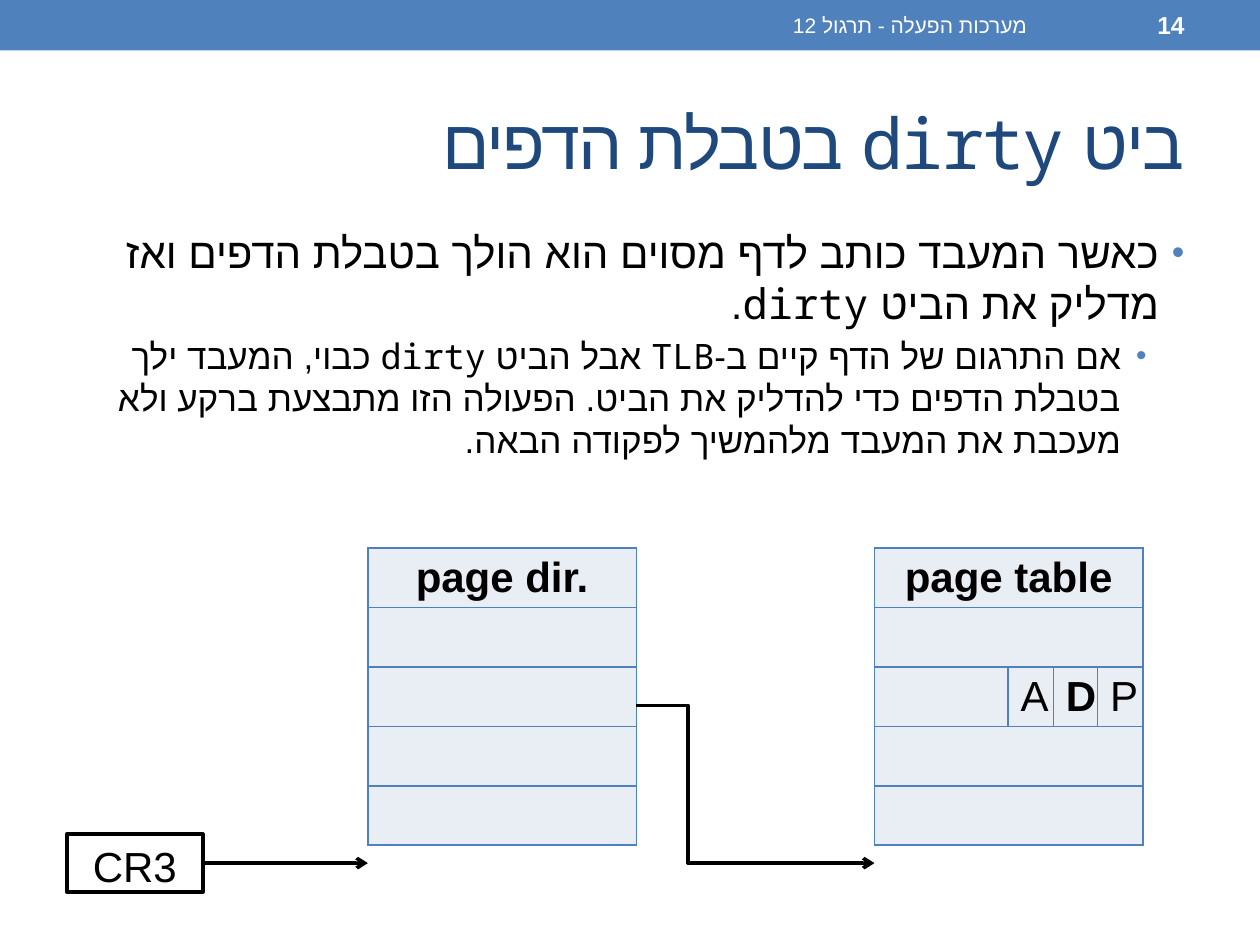
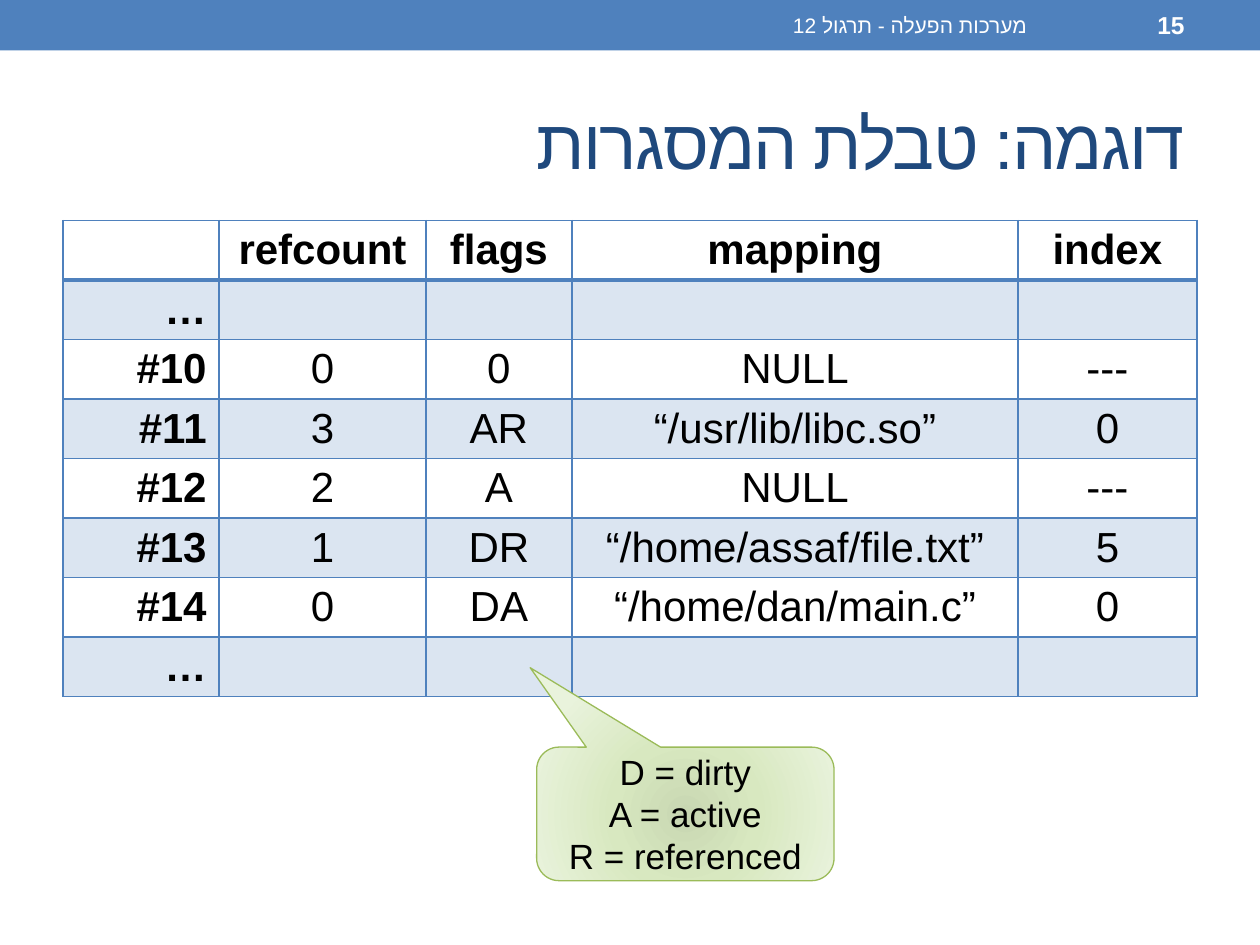
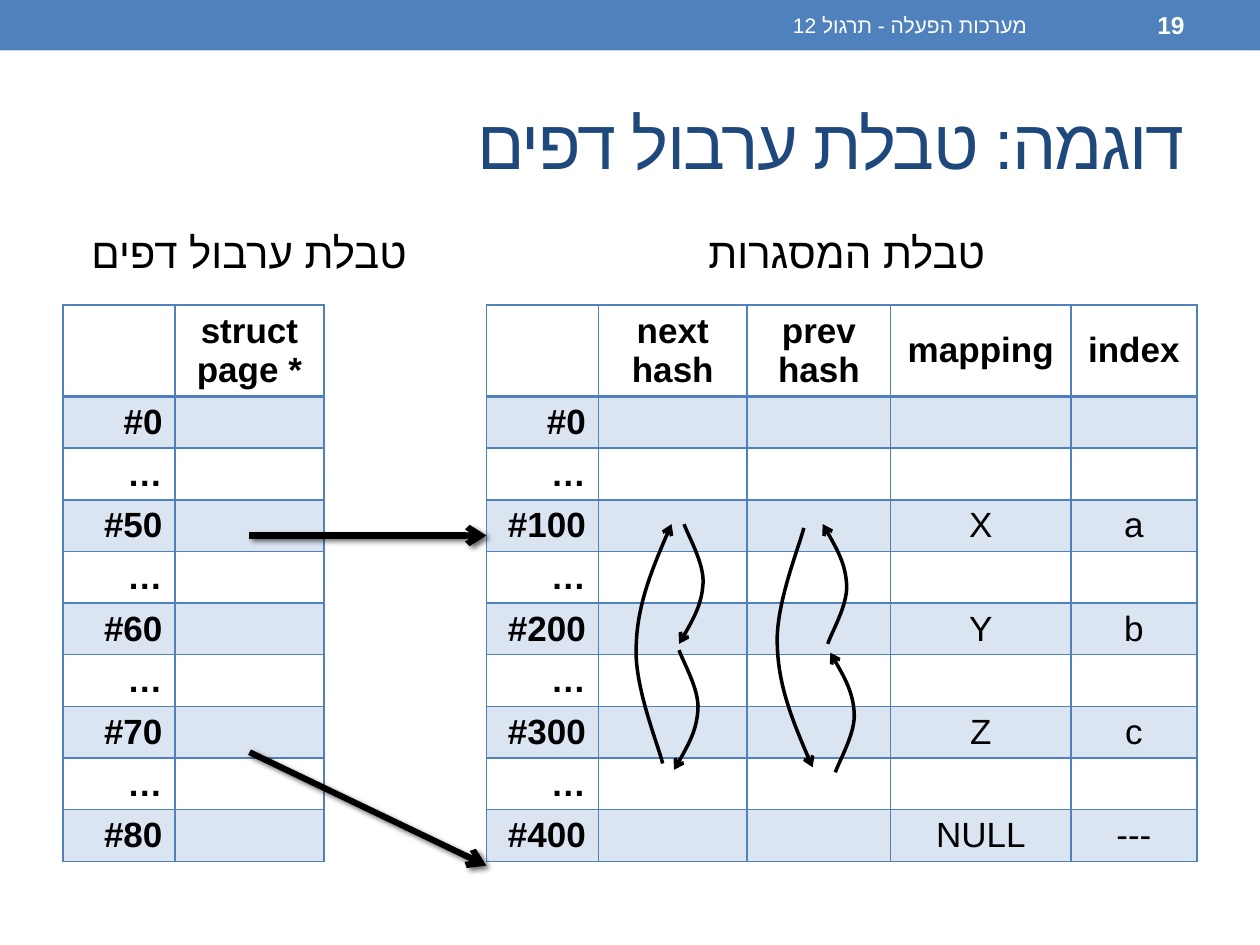
from lxml import etree
from pptx import Presentation
from pptx.dml.color import RGBColor
from pptx.enum.lang import MSO_LANGUAGE_ID
from pptx.enum.shapes import MSO_CONNECTOR, MSO_SHAPE
from pptx.enum.text import MSO_ANCHOR, MSO_AUTO_SIZE, PP_ALIGN
from pptx.oxml import parse_xml
from pptx.oxml.ns import nsdecls, qn
from pptx.util import Inches, Pt

MID, RIGHT = PP_ALIGN.CENTER, PP_ALIGN.RIGHT
TOP, CENTER = MSO_ANCHOR.TOP, MSO_ANCHOR.MIDDLE
STRAIGHT, ELBOW = MSO_CONNECTOR.STRAIGHT, MSO_CONNECTOR.ELBOW
RECT, CALLOUT = MSO_SHAPE.RECTANGLE, MSO_SHAPE.ROUNDED_RECTANGULAR_CALLOUT
HEBREW = MSO_LANGUAGE_ID.HEBREW

MONO, SANS = "Noto Sans Mono", "Arial"
BLUE, NAVY, PALE = "4F81BD", "1F497D", "E9EDF4"
BLACK, WHITE, GREEN = "000000", "FFFFFF", "9BBB59"
GLOW = ((0, "C8D7B2"), (45, "D8E8C0"), (100, "E9F3DC"))

COURSE = "מערכות הפעלה - תרגול 12"
TITLE_BOX = (0.5, 0.58, 9, 1.08)
COURSE_BOX = (3.75, 0.02, 4.5, 0.36)
NUMBER_BOX = (8.33, 0.02, 1.17, 0.36)

# text, level, size, indent
POINTS = [
    ("כאשר המעבד כותב לדף מסוים הוא הולך בטבלת הדפים ואז "
     "מדליק את הביט dirty.", 0, 24, 0.2),
    ("אם התרגום של הדף קיים ב-TLB אבל הביט dirty כבוי, המעבד ילך "
     "בטבלת הדפים כדי להדליק את הביט. הפעולה הזו מתבצעת ברקע ולא "
     "מעכבת את המעבד מלהמשיך לפקודה הבאה.", 1, 20, 0.5),
]
PAGE_DIR = [("page dir.",), (), (), (), ()]
PAGE_TABLE = [("page table",), (), ("", "A", "D", "P"), (), ()]
BIT_COLS = (1.06, 0.36, 0.35, 0.36)

FRAMES = [
    ("", "refcount", "flags", "mapping", "index"),
    ("…",),
    ("#10", "0", "0", "NULL", "---"),
    ("#11", "3", "AR", "“/usr/lib/libc.so”", "0"),
    ("#12", "2", "A", "NULL", "---"),
    ("#13", "1", "DR", "“/home/assaf/file.txt”", "5"),
    ("#14", "0", "DA", "“/home/dan/main.c”", "0"),
    ("…",),
]
FRAME_COLS = (1.24, 1.64, 1.16, 3.54, 1.42)
FLAGS = ["D = dirty", "A = active", "R = referenced"]

LINKS = [
    ("", "next hash", "prev hash", "mapping", "index"),
    ("#0",), ("…",),
    ("#100", "", "", "X", "a"), ("…",),
    ("#200", "", "", "Y", "b"), ("…",),
    ("#300", "", "", "Z", "c"), ("…",),
    ("#400", "", "", "NULL", "---"),
]
LINK_COLS = (0.89, 1.18, 1.14, 1.43, 1)
HASHES = [("", "struct page *"), ("#0",), ("…",), ("#50",), ("…",),
          ("#60",), ("…",), ("#70",), ("…",), ("#80",)]
HEADS = [("טבלת המסגרות", (4.9, 1.75, 3.02, 0.6)),
         ("טבלת ערבול דפים", (0.3, 1.75, 3.03, 0.6))]

# Bezier points of a downward arc: start, then three per curve
SHORT = [(0.04, 0), (0.07, 0.09), (0.2, 0.31), (0.19, 0.47),
         (0.18, 0.63), (0.1, 0.78), (0, 0.95)]
LONG = [(0.23, 0), (0.19, 0.16), (0, 0.62), (0.02, 0.94),
        (0.03, 1.25), (0.15, 1.56), (0.3, 1.9)]
# left, top, outline, points up
ARCS = [
    (6.59, 5.18, SHORT, True), (6.53, 4.16, SHORT, True),
    (5.35, 5.16, SHORT, False), (5.39, 4.16, SHORT, False),
    (6.15, 4.19, LONG, False), (5.03, 4.16, LONG, True),
]
JUMPS = [((1.98, 4.25), (3.86, 4.25)), ((1.98, 5.97), (3.86, 6.87))]


def color(code):
    return RGBColor.from_string(code)


def lengths(values):
    return [Inches(v) for v in values]


def place(shape, box):
    shape.left, shape.top, shape.width, shape.height = lengths(box)


def write(para, text, size, font=SANS, tone=BLACK, bold=False, align=MID):
    run = para.add_run()
    run.text = text
    run.font.size, run.font.name = Pt(size), font
    run.font.bold, run.font.color.rgb = bold, color(tone)
    para.alignment = align
    return run


def write_rtl(para, text, size, tone=BLACK, bold=False):
    """Write Hebrew in the sans font and Latin in the mono one."""
    run = write(para, text, size, MONO, tone, bold, RIGHT)
    run.font.language_id = HEBREW
    props = run.font._element
    etree.SubElement(props, qn("a:cs")).set("typeface", SANS)
    para._p.get_or_add_pPr().set("rtl", "1")
    return props


def indent(para, depth, hang):
    props = para._p.get_or_add_pPr()
    props.set("marL", str(Inches(depth)))
    props.set("indent", str(Inches(-hang)))
    return props


def bullet(para, depth):
    props = indent(para, depth, 0.2)
    tint = etree.SubElement(props, qn("a:buClr"))
    etree.SubElement(tint, qn("a:srgbClr")).set("val", BLUE)
    etree.SubElement(props, qn("a:buSzPct")).set("val", "85000")
    etree.SubElement(props, qn("a:buFont")).set("typeface", SANS)
    etree.SubElement(props, qn("a:buChar")).set("char", "•")


def label(page, box, text, size, bold=False):
    frame = page.shapes.add_textbox(*lengths(box)).text_frame
    frame.word_wrap, frame.vertical_anchor = True, CENTER
    write_rtl(frame.paragraphs[0], text, size, WHITE, bold)


def new_page(prs, layout, number, title):
    """Add a slide with the band, course name, number and title."""
    page = prs.slides.add_slide(prs.slide_layouts[layout])
    band = page.shapes.add_shape(RECT, *lengths((0, 0, 10, 0.4)))
    band.shadow.inherit = False
    band.fill.solid()
    band.fill.fore_color.rgb = color(BLUE)
    band.line.fill.background()
    label(page, COURSE_BOX, COURSE, 12)
    label(page, NUMBER_BOX, number, 14, True)
    head = page.shapes.title
    place(head, TITLE_BOX)
    head.text_frame.vertical_anchor = CENTER
    write_rtl(head.text_frame.paragraphs[0], title, 40, NAVY).set("spc", "-100")
    return page


def body(page, index, box):
    holder = page.placeholders[index]
    place(holder, box)
    frame = holder.text_frame
    frame.auto_size, frame.vertical_anchor = MSO_AUTO_SIZE.NONE, TOP
    return frame


def border(cell, thick=""):
    """Draw blue sides; those named in thick are 2 points wide."""
    props = cell._tc.get_or_add_tcPr()
    for i, side in enumerate("LRTB"):
        width = Pt(2 if side in thick else 1)
        props.insert(i, parse_xml(
            f'<a:ln{side} {nsdecls("a")} w="{width}"><a:solidFill>'
            f'<a:srgbClr val="{BLUE}"/></a:solidFill></a:ln{side}>'))


def grid(page, x, y, cols, heights, rows, size, banded=True, anchor=TOP):
    """Banded grids have a ruled header and labels; others are pale blue."""
    box = lengths((x, y, sum(cols), sum(heights)))
    table = page.shapes.add_table(len(rows), len(cols), *box).table
    table.first_row = table.horz_banding = False
    pads = (0.05, 0.01) if anchor == TOP else (0.03, 0.03)
    for col, width in zip(table.columns, cols):
        col.width = Inches(width)
    for r, row in enumerate(rows):
        table.rows[r].height = Inches(heights[r])
        for c in range(len(cols)):
            cell = table.cell(r, c)
            cell.vertical_anchor = anchor
            cell.margin_top, cell.margin_bottom = lengths(pads)
            text = row[c] if c < len(row) else ""
            if text:
                bold = r == 0 or (c == 0 if banded else text == "D")
                align = RIGHT if banded and r and c == 0 else MID
                write(cell.text_frame.paragraphs[0], text, size,
                      bold=bold, align=align)
            if banded and r % 2 == 0:
                cell.fill.background()
            else:
                cell.fill.solid()
                cell.fill.fore_color.rgb = color(BLUE if banded else PALE)
            if banded and r % 2:
                tint = cell._tc.tcPr.find(".//" + qn("a:srgbClr"))
                etree.SubElement(tint, qn("a:alpha")).set("val", "20000")
            border(cell, {0: "B", 1: "T"}.get(r, "") if banded else "")
    return table


def ink(shape, width):
    """Give a line its black stroke and arrowhead."""
    shape.line.width = Pt(width)
    shape.line.color.rgb = color(BLACK)
    stroke = shape.line._get_or_add_ln()
    etree.SubElement(stroke, qn("a:tailEnd")).set("type", "arrow")


def arrow(page, start, end, width, kind=STRAIGHT, shadow=False):
    line = page.shapes.add_connector(kind, *lengths(start + end))
    ink(line, width)
    effect = etree.SubElement(line._element.spPr, qn("a:effectLst"))
    if shadow:
        effect.append(parse_xml(
            f'<a:outerShdw {nsdecls("a")} blurRad="{Pt(3)}" dist="{Pt(2)}" '
            f'dir="2700000"><a:srgbClr val="{BLACK}"><a:alpha val="60000"/>'
            '</a:srgbClr></a:outerShdw>'))
    return line


def arc(page, x, y, outline, up):
    high = outline[-1][1]
    knots = [lengths((x + a, y + (high - b if up else b)))
             for a, b in outline]
    pen = page.shapes.build_freeform(*knots[0])
    pen.add_line_segments(knots[1:], close=False)
    shape = pen.convert_to_shape()
    # Join every three straight segments into one Bezier curve
    track = shape._element.spPr.find(".//" + qn("a:path"))
    legs = track.findall(qn("a:lnTo"))
    for i in range(0, len(legs), 3):
        curve = etree.SubElement(track, qn("a:cubicBezTo"))
        for leg in legs[i:i + 3]:
            curve.append(leg[0])
            track.remove(leg)
    shape.shadow.inherit = False
    shape.fill.background()
    ink(shape, 2)


def dirty_bit(prs):
    page = new_page(prs, 1, "14", "ביט dirty בטבלת הדפים")
    frame = body(page, 1, (0.5, 1.75, 9, 5.33))
    for i, (text, level, size, depth) in enumerate(POINTS):
        para = frame.add_paragraph() if i else frame.paragraphs[0]
        para.level = level
        write_rtl(para, text, size)
        bullet(para, depth)

    heights = [2.36 / 5] * 5
    grid(page, 2.92, 4.35, (2.13,), heights, PAGE_DIR, 24, False)
    table = grid(page, 6.94, 4.35, BIT_COLS, heights, PAGE_TABLE, 24, False)
    for r, row in enumerate(PAGE_TABLE):
        if len(row) < 2:
            table.cell(r, 0).merge(table.cell(r, 3))

    cr3 = page.shapes.add_shape(RECT, *lengths((0.53, 6.62, 1.08, 0.46)))
    cr3.shadow.inherit = False
    cr3.fill.solid()
    cr3.fill.fore_color.rgb = color(WHITE)
    cr3.line.color.rgb, cr3.line.width = color(BLACK), Pt(2.08)
    cr3.text_frame.vertical_anchor = TOP
    write(cr3.text_frame.paragraphs[0], "CR3", 24)
    arrow(page, (1.61, 6.85), (2.92, 6.85), 2.08).begin_connect(cr3, 3)
    bend = arrow(page, (5.05, 5.6), (6.94, 6.85), 2.08, ELBOW)
    shape = bend._element.spPr.find(qn("a:prstGeom"))
    guide = etree.SubElement(shape.find(qn("a:avLst")), qn("a:gd"))
    guide.set("name", "adj1")
    guide.set("fmla", "val 21700")


def frame_table(prs):
    page = new_page(prs, 5, "15", "דוגמה: טבלת המסגרות")
    heights = [3.78 / len(FRAMES)] * len(FRAMES)
    grid(page, 0.5, 1.75, FRAME_COLS, heights, FRAMES, 24)

    note = page.shapes.add_shape(CALLOUT, *lengths((4.26, 5.93, 2.36, 1.06)))
    for i, value in enumerate((-0.522, -1.095, 0.167)):
        note.adjustments[i] = value
    stops = "".join(f'<a:gs pos="{at * 1000}"><a:srgbClr val="{tone}"/></a:gs>'
                    for at, tone in GLOW)
    sides = " ".join(f'{side}="100000"' for side in "ltrb")
    note._element.spPr.insert(2, parse_xml(
        f'<a:gradFill {nsdecls("a")}><a:gsLst>{stops}</a:gsLst>'
        f'<a:path path="circle"><a:fillToRect {sides}/></a:path></a:gradFill>'))
    note.line.color.rgb, note.line.width = color(GREEN), Pt(0.75)
    note.shadow.inherit = False
    frame = note.text_frame
    frame.vertical_anchor = CENTER
    for i, text in enumerate(FLAGS):
        write(frame.add_paragraph() if i else frame.paragraphs[0], text, 20)


def hash_table(prs):
    page = new_page(prs, 3, "19", "דוגמה: טבלת ערבול דפים")
    for i, (text, box) in enumerate(HEADS, 1):
        para = body(page, i, box).paragraphs[0]
        write_rtl(para, text, 24)
        etree.SubElement(indent(para, 0, 0), qn("a:buNone"))
    heights = [0.72] + [0.41] * 9
    grid(page, 3.86, 2.42, LINK_COLS, heights, LINKS, 20, anchor=CENTER)
    grid(page, 0.5, 2.42, LINK_COLS[:2], heights, HASHES, 20, anchor=CENTER)
    for part in ARCS:
        arc(page, *part)
    for start, end in JUMPS:
        arrow(page, start, end, 3.5, shadow=True)


def main():
    prs = Presentation()
    prs.slide_width, prs.slide_height = Inches(10), Inches(7.5)
    dirty_bit(prs)
    frame_table(prs)
    hash_table(prs)
    prs.save("out.pptx")


if __name__ == "__main__":
    main()
